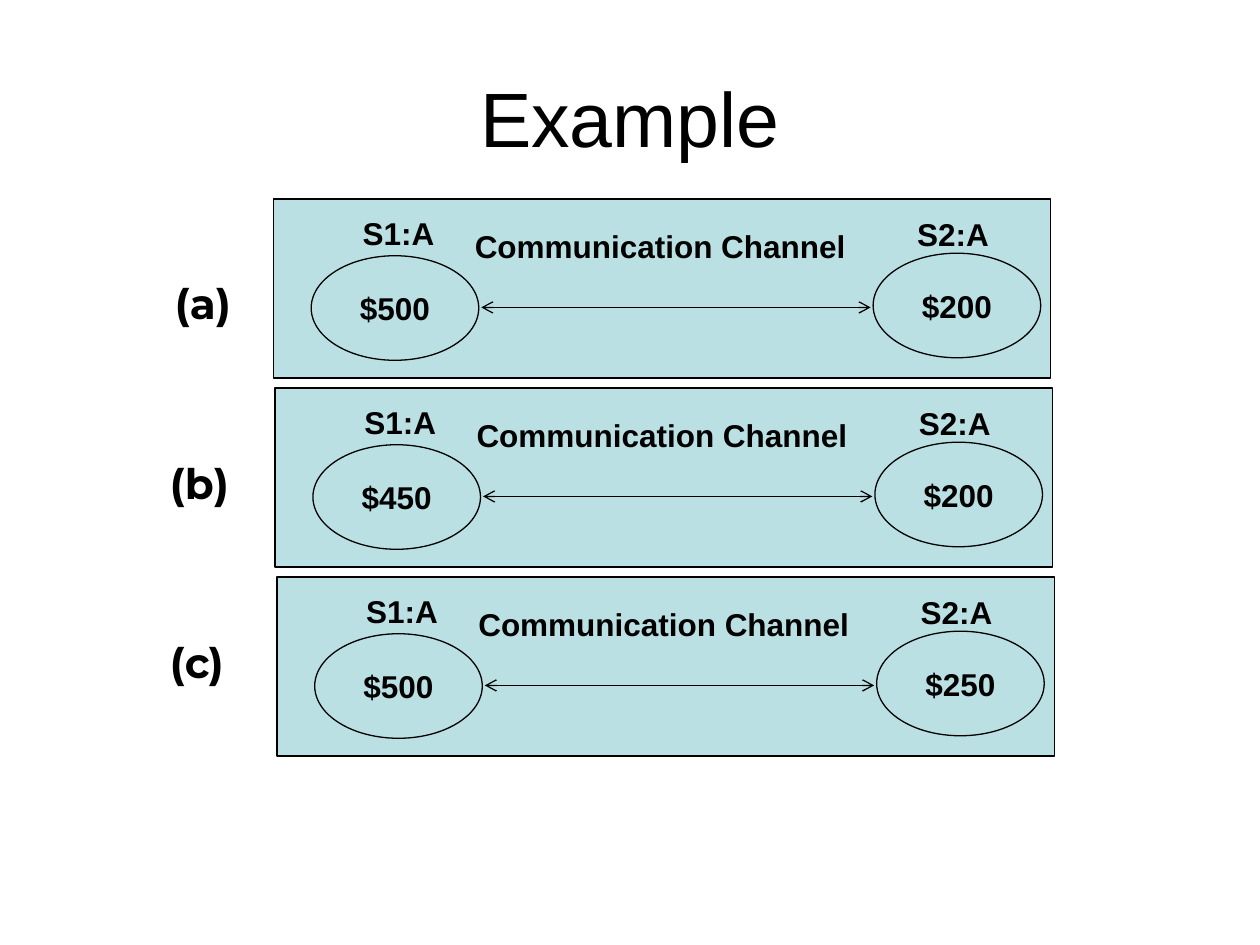
from lxml import etree
from pptx import Presentation
from pptx.dml.color import RGBColor
from pptx.enum.shapes import MSO_CONNECTOR, MSO_SHAPE
from pptx.enum.text import MSO_ANCHOR, MSO_AUTO_SIZE, PP_ALIGN
from pptx.oxml.ns import qn
from pptx.util import Inches, Pt

RECT, OVAL = MSO_SHAPE.RECTANGLE, MSO_SHAPE.OVAL
STRAIGHT = MSO_CONNECTOR.STRAIGHT
MIDDLE = MSO_ANCHOR.MIDDLE
LEFT, CENTER = PP_ALIGN.LEFT, PP_ALIGN.CENTER
GROW = MSO_AUTO_SIZE.SHAPE_TO_FIT_TEXT

COLORS = {"panel": "BBE0E3", "ink": "000000"}


def rgb(name):
    return RGBColor.from_string(COLORS[name])


def write(tf, text, size=18, font="Arial", bold=True, align=LEFT, before=None):
    p = tf.paragraphs[0]
    p.alignment = align
    if before is not None:
        p.space_before = Pt(before)
    r = p.add_run()
    r.text = text
    r.font.size, r.font.name, r.font.bold = Pt(size), font, bold
    r.font.color.rgb = rgb("ink")


class Slide:
    line_width = Pt(0.75)

    def __init__(self, prs):
        self.s = prs.slides.add_slide(prs.slide_layouts[5])
        self.shapes = self.s.shapes

    def group(self):
        """Put the following elements into a new group."""
        self.shapes = self.s.shapes.add_group_shape().shapes

    def title(self, text, *box):
        sp = self.s.shapes.title
        sp.left, sp.top, sp.width, sp.height = map(Inches, box)
        sp.text_frame.vertical_anchor = MIDDLE
        write(sp.text_frame, text, size=44, bold=False, align=CENTER)

    def shape(self, kind, *box, text=None):
        sp = self.shapes.add_shape(kind, *map(Inches, box))
        sp.shadow.inherit = False
        sp.fill.solid()
        sp.fill.fore_color.rgb = rgb("panel")
        sp.line.color.rgb = rgb("ink")
        sp.line.width = self.line_width
        if text:
            tf = sp.text_frame
            tf.word_wrap = False
            tf.vertical_anchor = MIDDLE
            write(tf, text, align=CENTER)

    def label(self, text, *box, **style):
        tf = self.shapes.add_textbox(*map(Inches, box)).text_frame
        tf.word_wrap = True
        tf.auto_size = GROW
        write(tf, text, **style)

    def double_arrow(self, *ends):
        cx = self.shapes.add_connector(STRAIGHT, *map(Inches, ends))
        cx.line.color.rgb = rgb("ink")
        cx.line.width = self.line_width
        ln = cx.line._get_or_add_ln()
        for tag in ("a:headEnd", "a:tailEnd"):
            etree.SubElement(ln, qn(tag), type="arrow")
        etree.SubElement(cx._element.spPr, qn("a:effectLst"))


def main():
    prs = Presentation()
    prs.slide_width, prs.slide_height = Inches(10), Inches(7.5)
    s = Slide(prs)
    s.title("Example", 0.5, 0.3, 9, 1.25)

    # One row per state: name, its position, balances of S1 and S2
    states = [
        ("(a)", 1.29, 2.15, "$500", "$200"),
        ("(b)", 1.25, 3.58, "$450", "$200"),
        ("(c)", 1.25, 5, "$500", "$250"),
    ]
    for i, (name, name_x, name_y, balance1, balance2) in enumerate(states):
        x, y = 2.17 + 0.014 * i, 1.58 + 1.5 * i
        s.group()
        s.shape(RECT, x, y, 6.17, 1.42)

        # Sites and the channel between them
        s.shape(OVAL, x + 0.3, y + 0.45, 1.33, 0.83, text=balance1)
        s.label("Communication Channel", x + 1.5, y + 0.17, 3.5, 0.4, before=11.2)
        s.label("S1:A", x + 0.61, y + 0.07, 0.83, 0.4, before=11.2)
        s.label("S2:A", x + 5.01, y + 0.08, 0.82, 0.4, before=11.2)
        s.shape(OVAL, x + 4.76, y + 0.43, 1.33, 0.83, text=balance2)
        s.double_arrow(x + 1.65, y + 0.86, x + 4.74, y + 0.86)

        # State name
        s.label(name, name_x, name_y, 0.83, 0.5, size=24, font="Montserrat", before=15)

    prs.save("out.pptx")


if __name__ == "__main__":
    main()
